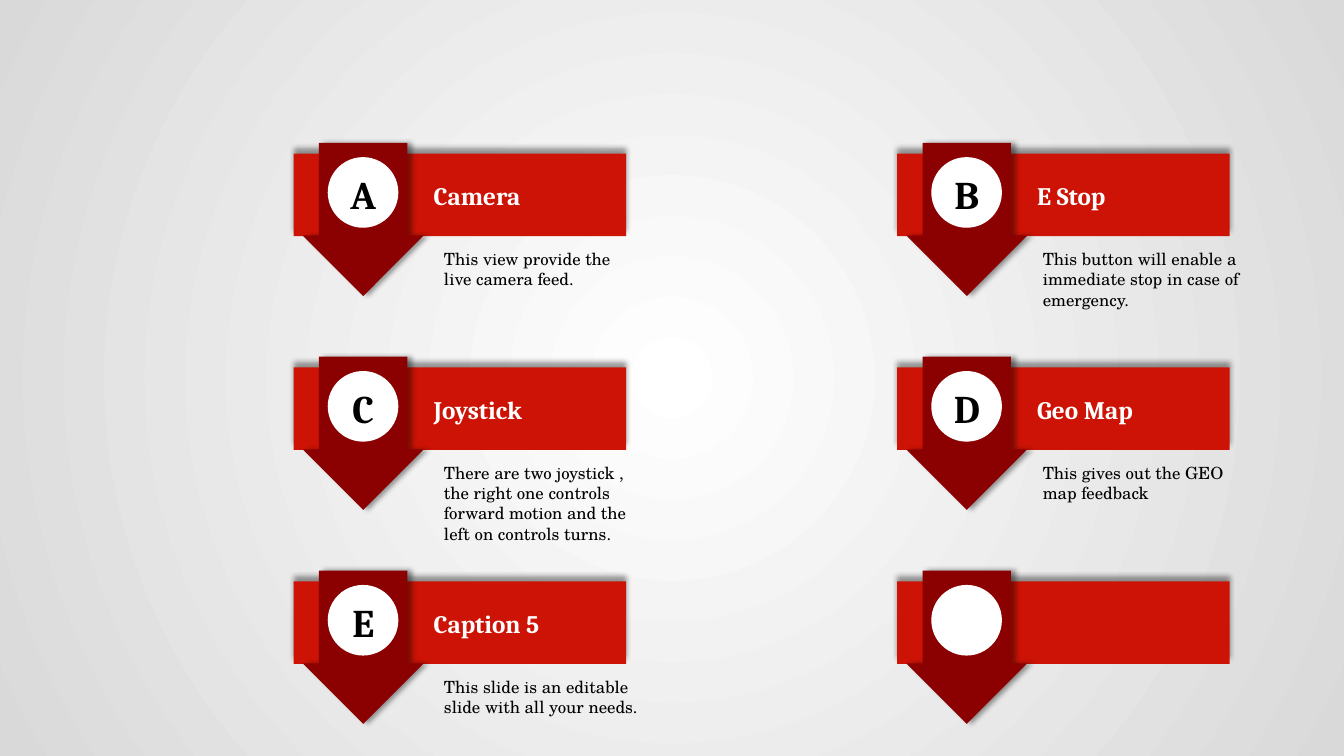
from lxml import etree
from pptx import Presentation
from pptx.dml.color import RGBColor
from pptx.enum.shapes import MSO_SHAPE
from pptx.enum.text import MSO_ANCHOR, MSO_AUTO_SIZE, PP_ALIGN
from pptx.oxml import parse_xml
from pptx.oxml.ns import qn
from pptx.util import Cm, Pt

RECT, ARROW, OVAL = MSO_SHAPE.RECTANGLE, MSO_SHAPE.DOWN_ARROW, MSO_SHAPE.OVAL
LEFT, CENTER = PP_ALIGN.LEFT, PP_ALIGN.CENTER
TOP = MSO_ANCHOR.TOP
FIT_SHAPE = MSO_AUTO_SIZE.SHAPE_TO_FIT_TEXT

RED, DARK_RED, WHITE, BLACK, GRAY = "CD1305", "8B0101", "FFFFFF", "000000", "D9D9D9"
HEAD_FONT, BODY_FONT = "Cambria", "TeX Gyre Schola"

# Columns of (letter, caption, description, description height in cm)
COLUMNS = [
    [("A", "Camera", "This view provide the live camera feed.", 1.28),
     ("C", "Joystick", "There are two joystick , the right one controls "
      "forward motion and the left on controls turns.", 2.3),
     ("E", "Caption 5", "This slide is an editable slide with all your needs.", 1.79)],
    [("B", "E Stop", "This button will enable a immediate stop in case of emergency.", 1.79),
     ("D", "Geo Map", "This gives out the GEO map feedback", 1.28),
     ("", "", "", 0)],
]

# Lengths in cm; the parts of a card are placed from its banner's corner
CARD_X, CARD_Y = 7.4, 3.87
COLUMN_STEP, ROW_STEP = 15.21, 5.39
BANNER = (0, 0, 8.38, 2.08)
POINTER = (0.23, -0.27, 3.05, 3.86)
DISC = (0.86, 0.09, 1.78, 1.78)
LETTER = (1.07, 0.3, 1.37, 1.45)
CAPTION = (3.28, 0.55, 4.47, 1.02)
DESCRIPTION_X = (3.54, 3.42)
DESCRIPTION_Y, DESCRIPTION_W = 2.28, 5.49


def color(value):
    return RGBColor.from_string(value)


def place(x, y, box):
    left, top, width, height = box
    return Cm(x + left), Cm(y + top), Cm(width), Cm(height)


def add_shadow(sp, distance, direction):
    """Give a shape a 40 % black shadow; distance in points, direction in degrees."""
    sp.shadow.inherit = False
    effects = sp._element.spPr.find(qn("a:effectLst"))
    shadow = etree.SubElement(effects, qn("a:outerShdw"), blurRad=str(Pt(4)),
                              dist=str(Pt(distance)), dir=str(direction * 60000),
                              algn="ctr", rotWithShape="0")
    black = etree.SubElement(shadow, qn("a:srgbClr"), val=BLACK)
    etree.SubElement(black, qn("a:alpha"), val="40000")


def add_block(shapes, kind, box, fill):
    sp = shapes.add_shape(kind, *box)
    sp.shadow.inherit = False
    sp.fill.solid()
    sp.fill.fore_color.rgb = color(fill)
    sp.line.fill.background()
    return sp


def add_text(shapes, box, text, size, font, ink=BLACK, bold=False, align=LEFT):
    tf = shapes.add_textbox(*box).text_frame
    tf.word_wrap = True
    tf.auto_size = FIT_SHAPE
    tf.vertical_anchor = TOP
    p = tf.paragraphs[0]
    p.alignment = align
    r = p.add_run()
    r.text = text
    r.font.size = Pt(size)
    r.font.name = font
    r.font.bold = bold
    r.font.color.rgb = color(ink)


def add_card(s, x, y, letter, caption):
    shapes = s.shapes.add_group_shape().shapes
    banner = add_block(shapes, RECT, place(x, y, BANNER), RED)
    add_shadow(banner, 4, 270)
    pointer = add_block(shapes, ARROW, place(x, y, POINTER), DARK_RED)
    pointer.adjustments[0] = 0.731
    pointer.adjustments[1] = 0.5
    add_shadow(pointer, 3, 0)
    add_block(shapes, OVAL, place(x, y, DISC), WHITE)
    if letter:
        add_text(shapes, place(x, y, LETTER), letter, 28, HEAD_FONT, bold=True, align=CENTER)
    if caption:
        add_text(shapes, place(x, y, CAPTION), caption, 18, HEAD_FONT, ink=WHITE, bold=True)


def set_radial_background(s, inner, outer):
    fill = s.background.fill
    fill.gradient()
    for stop, position, value in zip(fill.gradient_stops, (0, 1), (inner, outer)):
        stop.position = position
        stop.color.rgb = color(value)
    linear = next(s._element.iter(qn("a:lin")))
    linear.getparent().replace(linear, parse_xml(
        '<a:path xmlns:a="http://schemas.openxmlformats.org/drawingml/2006/main" path="circle">'
        '<a:fillToRect l="50000" t="50000" r="50000" b="50000"/></a:path>'))


def main():
    prs = Presentation()
    prs.slide_width, prs.slide_height = Cm(33.87), Cm(19.05)
    s = prs.slides.add_slide(prs.slide_layouts[6])
    set_radial_background(s, WHITE, GRAY)
    for column, cards in enumerate(COLUMNS):
        x = CARD_X + column * COLUMN_STEP
        for row, (letter, caption, description, height) in enumerate(cards):
            y = CARD_Y + row * ROW_STEP
            add_card(s, x, y, letter, caption)
            if description:
                box = (DESCRIPTION_X[column], DESCRIPTION_Y, DESCRIPTION_W, height)
                add_text(s.shapes, place(x, y, box), description, 12, BODY_FONT)
    prs.save("out.pptx")


if __name__ == "__main__":
    main()
